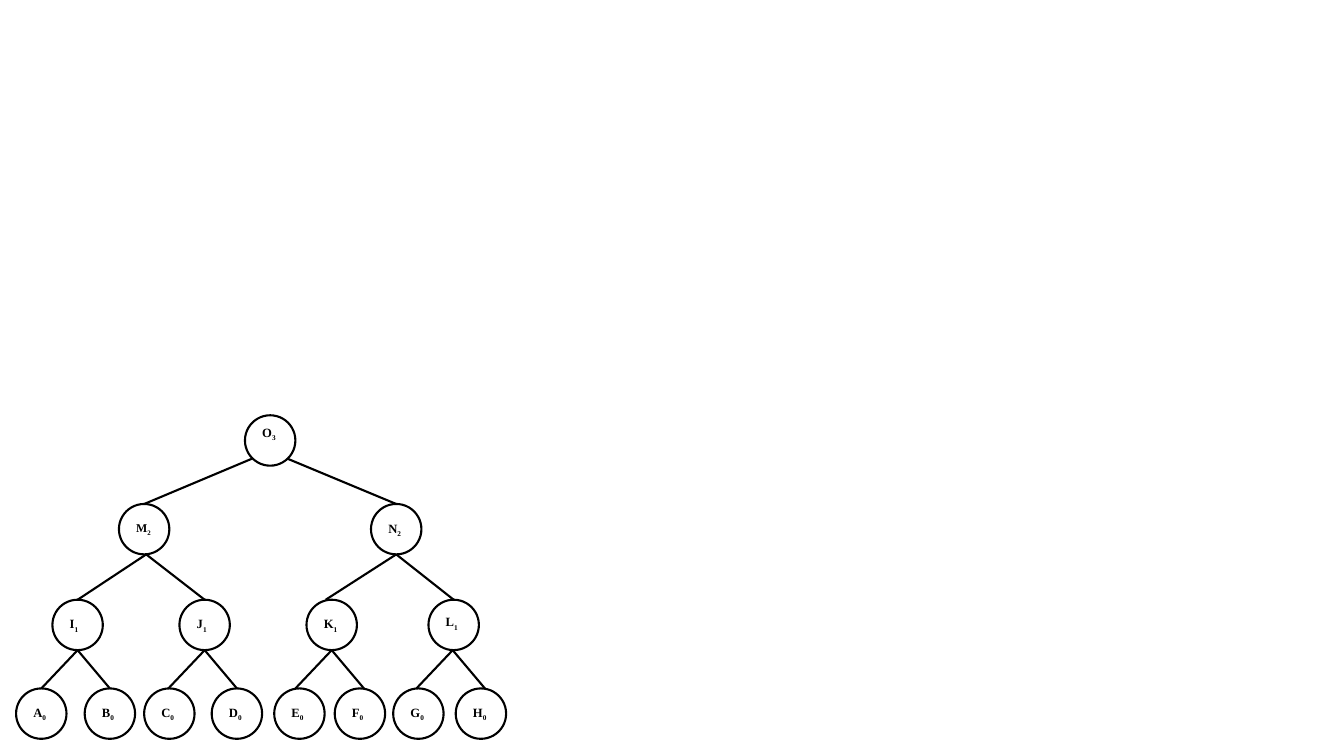
import lxml.etree
import pptx
import pptx.dml.color
import pptx.enum.shapes
import pptx.enum.text
import pptx.oxml.ns
import pptx.util

COLUMNS, ROWS = 133.3, 75
DIAMETER = 5
ROOT_ROW, UPPER_ROW, MIDDLE_ROW, LEAF_ROW = 41.2, 50, 59.5, 68.3
LEFT_REACH, RIGHT_REACH = 3.6, 3.2

LEAVES = dict(zip("ABCDEFGH", (1.6, 8.4, 14.3, 21, 27.2, 33.2, 39, 45.2)))
MIDDLES = {"I": 5.2, "J": 17.8, "K": 30.4, "L": 42.5}
UPPERS = {"M": 11.8, "N": 36.8}
ROOT = {"O": 24.3}
LEVELS = [
    (LEAVES, LEAF_ROW), (MIDDLES, MIDDLE_ROW), (UPPERS, UPPER_ROW), (ROOT, ROOT_ROW),
]
LEAF_JOINTS = (7.7, 20.3, 32.9, 44.9)
MIDDLE_JOINTS = {14.5: (7.7, 20.3), 39.3: (32.3, 45)}
ROOT_JOINTS = {25: 14.3, 28.5: 39.3}
ROOT_JOINT_ROW = 45.5
TEXT_LIFT = {"O": 1.4, "L": 0.4}
TEXT_SIZE = {"M": 8.5}


def color(value):
    return pptx.dml.color.RGBColor.from_string(value)


class TreeSlide:
    font = "Times New Roman"
    ink = "000000"
    size = 9
    weight = 1.5

    def __init__(self, presentation):
        self.column = presentation.slide_width / COLUMNS
        self.row = presentation.slide_height / ROWS
        self.slide = presentation.slides.add_slide(presentation.slide_layouts[6])

    def x(self, columns):
        return round(columns * self.column)

    def y(self, rows):
        return round(rows * self.row)

    def outline(self, line):
        line.color.rgb = color(self.ink)
        line.width = pptx.util.Pt(self.weight)

    def add_run(self, paragraph, text, size):
        run = paragraph.add_run()
        run.text = text
        run.font.name = self.font
        run.font.size = pptx.util.Pt(size)
        run.font.bold = True
        run.font.color.rgb = color(self.ink)
        return run

    def node(self, name, level, left, top):
        shape = self.slide.shapes.add_shape(
            pptx.enum.shapes.MSO_SHAPE.OVAL,
            self.x(left), self.y(top), self.x(DIAMETER), self.y(DIAMETER),
        )
        shape.shadow.inherit = False
        shape.fill.background()
        self.outline(shape.line)
        frame = shape.text_frame
        frame.word_wrap = True
        frame.vertical_anchor = pptx.enum.text.MSO_ANCHOR.MIDDLE
        frame.margin_top = 0
        frame.margin_bottom = self.y(TEXT_LIFT.get(name, 0))
        paragraph = frame.paragraphs[0]
        paragraph.alignment = pptx.enum.text.PP_ALIGN.LEFT
        size = TEXT_SIZE.get(name, self.size)
        self.add_run(paragraph, name, size)
        subscript = self.add_run(paragraph, str(level), size)
        subscript._r.get_or_add_rPr().set("baseline", "-25000")

    def edge(self, child_column, child_row, parent_column, parent_row):
        connector = self.slide.shapes.add_connector(
            pptx.enum.shapes.MSO_CONNECTOR.STRAIGHT,
            self.x(child_column), self.y(child_row),
            self.x(parent_column), self.y(parent_row),
        )
        self.outline(connector.line)
        lxml.etree.SubElement(
            connector._element.spPr, pptx.oxml.ns.qn("a:effectLst")
        )


def main():
    presentation = pptx.Presentation()
    presentation.slide_width = pptx.util.Inches(13.33)
    presentation.slide_height = pptx.util.Inches(7.5)
    tree = TreeSlide(presentation)

    for level, (nodes, top) in enumerate(LEVELS):
        for name, left in nodes.items():
            tree.node(name, level, left, top)

    for joint in LEAF_JOINTS:
        for child in (joint - LEFT_REACH, joint + RIGHT_REACH):
            tree.edge(child, LEAF_ROW, joint, MIDDLE_ROW + DIAMETER)
    for joint, children in MIDDLE_JOINTS.items():
        for child in children:
            tree.edge(child, MIDDLE_ROW, joint, UPPER_ROW + DIAMETER)
    for joint, child in ROOT_JOINTS.items():
        tree.edge(child, UPPER_ROW, joint, ROOT_JOINT_ROW)

    presentation.save("out.pptx")


if __name__ == "__main__":
    main()
